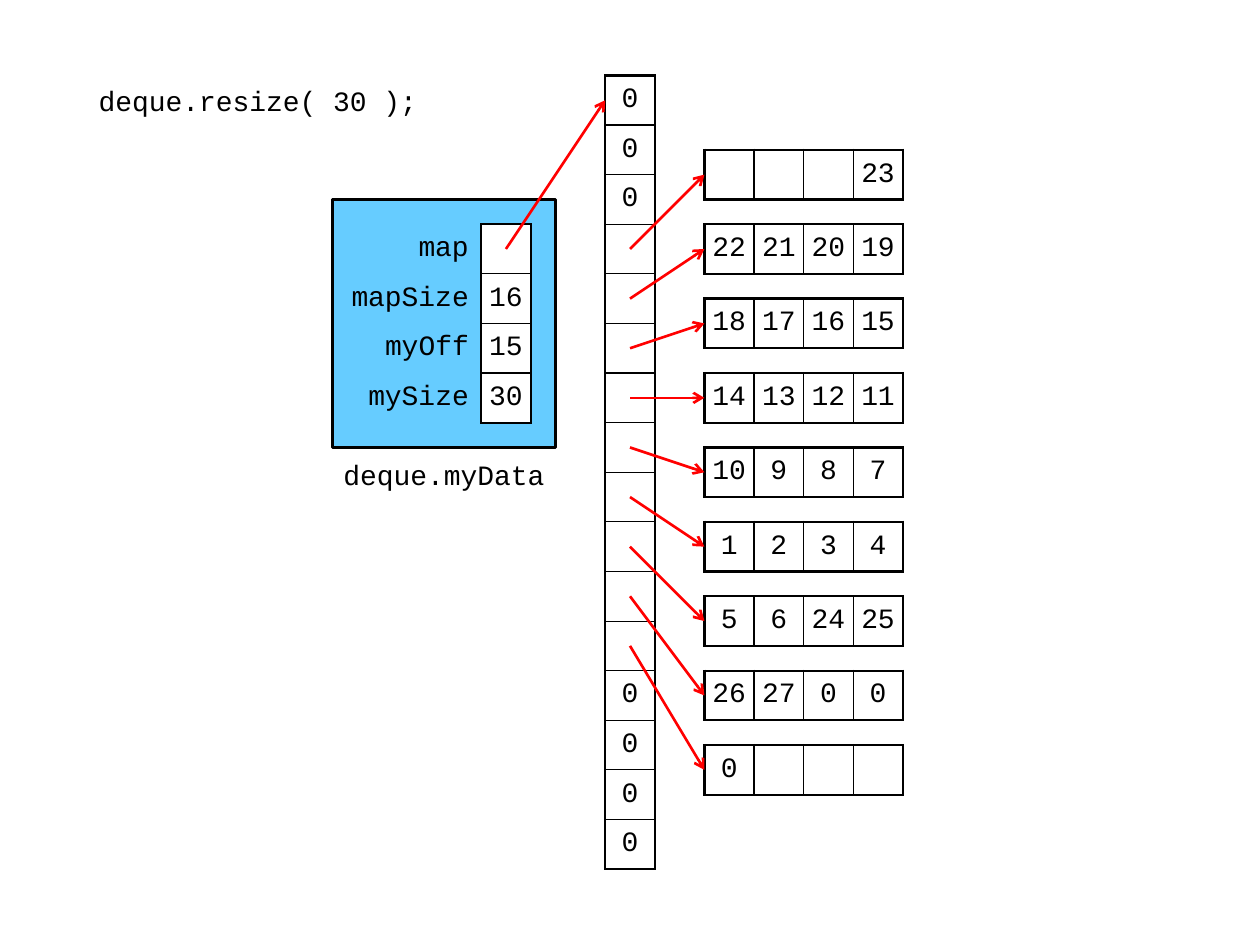
"""Build a slide showing how a deque stores thirty elements in mapped blocks."""
from dataclasses import dataclass

from lxml.etree import SubElement
from pptx import Presentation
from pptx.dml.color import RGBColor
from pptx.enum.shapes import MSO_CONNECTOR, MSO_SHAPE
from pptx.enum.text import MSO_ANCHOR, PP_ALIGN
from pptx.oxml.ns import qn
from pptx.util import Cm, Pt

BLACK, WHITE, BLUE, RED = "000000", "FFFFFF", "66CCFF", "FF0000"
PLAIN_TABLE = "{2D5ABB26-0587-4C30-8999-92F81FD0307C}"
CELL = 1
MAP_LEFT, MAP_TOP = 12.2, 1.52
BLOCK_LEFT, BLOCK_TOP, BLOCK_STEP = 14.2, 3.02, 1.5
FIELDS_LEFT, FIELDS_TOP, LABEL_WIDTH = 6.7, 4.52, 3
FIRST_USED = 3
THICK, THIN = 1.5, 0.75

FIELDS = [["map", ""], ["mapSize", "16"], ["myOff", "15"], ["mySize", "30"]]
BLOCKS = [
    ["", "", "", "23"],
    ["22", "21", "20", "19"],
    ["18", "17", "16", "15"],
    ["14", "13", "12", "11"],
    ["10", "9", "8", "7"],
    ["1", "2", "3", "4"],
    ["5", "6", "24", "25"],
    ["26", "27", "0", "0"],
    ["0", "", "", ""],
]
MAP_ENTRIES = ["0"] * FIRST_USED + [""] * len(BLOCKS) + ["0"] * 4


@dataclass(frozen=True)
class Label:
    text: str
    left: float
    top: float
    width: float


@dataclass(frozen=True)
class Grid:
    left: float
    top: float
    rows: list[list[str]]
    fill: str | None = None
    label_width: float = 0


@dataclass(frozen=True)
class Arrow:
    start: tuple[float, float]
    end: tuple[float, float]


def color(value: str) -> RGBColor:
    return RGBColor.from_string(value)


def write(frame, text: str, alignment=PP_ALIGN.CENTER) -> None:
    paragraph = frame.paragraphs[0]
    paragraph.alignment = alignment
    if text:
        run = paragraph.add_run()
        run.text = text
        run.font.name = "Courier New"
        run.font.size = Pt(16)
        run.font.color.rgb = color(BLACK)


def draw_label(slide, label: Label) -> None:
    shape = slide.shapes.add_textbox(Cm(label.left), Cm(label.top), Cm(label.width), Cm(CELL))
    frame = shape.text_frame
    frame.word_wrap = True
    frame.vertical_anchor = MSO_ANCHOR.MIDDLE
    frame.margin_left = frame.margin_right = frame.margin_top = frame.margin_bottom = 0
    write(frame, label.text)


def draw_box(slide) -> None:
    shape = slide.shapes.add_shape(
        MSO_SHAPE.FLOWCHART_PROCESS, Cm(FIELDS_LEFT), Cm(FIELDS_TOP - 0.5), Cm(4.5), Cm(5))
    shape.shadow.inherit = False
    shape.fill.solid()
    shape.fill.fore_color.rgb = color(BLUE)
    shape.line.color.rgb = color(BLACK)
    shape.line.width = Pt(THICK)


def set_borders(cell, widths: dict[str, float]) -> None:
    properties = cell._tc.get_or_add_tcPr()
    for side, width in widths.items():
        line = SubElement(properties, qn(f"a:ln{side}"), w=str(Pt(width)))
        fill = SubElement(line, qn("a:solidFill"))
        SubElement(fill, qn("a:srgbClr"), val=BLACK)


def draw_grid(slide, grid: Grid) -> None:
    row_count, column_count = len(grid.rows), len(grid.rows[0])
    first_value = 1 if grid.label_width else 0
    widths = [grid.label_width] * first_value + [CELL] * (column_count - first_value)
    table = slide.shapes.add_table(
        row_count, column_count, Cm(grid.left), Cm(grid.top), Cm(sum(widths)), Cm(row_count * CELL)).table
    table.first_row = table.horz_banding = False
    table._tbl.tblPr.find(qn("a:tableStyleId")).text = PLAIN_TABLE
    for column, width in zip(table.columns, widths):
        column.width = Cm(width)
    for row_index, row in enumerate(grid.rows):
        table.rows[row_index].height = Cm(CELL)
        for column_index, text in enumerate(row):
            cell = table.cell(row_index, column_index)
            is_label = column_index < first_value
            cell.vertical_anchor = MSO_ANCHOR.MIDDLE
            cell.margin_left = cell.margin_right = Cm(0.25 if is_label else 0)
            cell.margin_top = cell.margin_bottom = Cm(0.1)
            write(cell.text_frame, text, PP_ALIGN.RIGHT if is_label else PP_ALIGN.CENTER)
            if is_label:
                set_borders(cell, {"R": THICK})
            else:
                set_borders(cell, {
                    "L": THICK if column_index == first_value else THIN,
                    "R": THICK if column_index == column_count - 1 else THIN,
                    "T": THICK if row_index == 0 else THIN,
                    "B": THICK if row_index == row_count - 1 else THIN,
                })
            if grid.fill and not is_label:
                cell.fill.solid()
                cell.fill.fore_color.rgb = color(grid.fill)
            else:
                cell.fill.background()


def draw_arrow(slide, arrow: Arrow) -> None:
    points = [Cm(value) for value in (*arrow.start, *arrow.end)]
    connector = slide.shapes.add_connector(MSO_CONNECTOR.STRAIGHT, *points)
    connector.line.color.rgb = color(RED)
    connector.line.width = Pt(THICK)
    SubElement(connector.line._get_or_add_ln(), qn("a:tailEnd"), type="arrow")
    SubElement(connector._element.spPr, qn("a:effectLst"))


def main() -> None:
    presentation = Presentation()
    presentation.slide_width, presentation.slide_height = Cm(25.4), Cm(19.05)
    slide = presentation.slides.add_slide(presentation.slide_layouts[6])
    half = CELL / 2

    draw_label(slide, Label("deque.resize( 30 );", 1.7, MAP_TOP, 7))
    draw_label(slide, Label("deque.myData", FIELDS_LEFT, 9.07, 4.5))
    draw_box(slide)
    draw_grid(slide, Grid(FIELDS_LEFT, FIELDS_TOP, FIELDS, WHITE, LABEL_WIDTH))
    draw_grid(slide, Grid(MAP_LEFT, MAP_TOP, [[entry] for entry in MAP_ENTRIES]))
    draw_arrow(slide, Arrow(
        (FIELDS_LEFT + LABEL_WIDTH + half, FIELDS_TOP + half), (MAP_LEFT, MAP_TOP + half)))
    for index, block in enumerate(BLOCKS):
        block_top = BLOCK_TOP + index * BLOCK_STEP
        entry_top = MAP_TOP + (FIRST_USED + index) * CELL
        draw_grid(slide, Grid(BLOCK_LEFT, block_top, [block]))
        draw_arrow(slide, Arrow(
            (MAP_LEFT + half, entry_top + half), (BLOCK_LEFT, block_top + half)))
    presentation.save("out.pptx")


if __name__ == "__main__":
    main()
